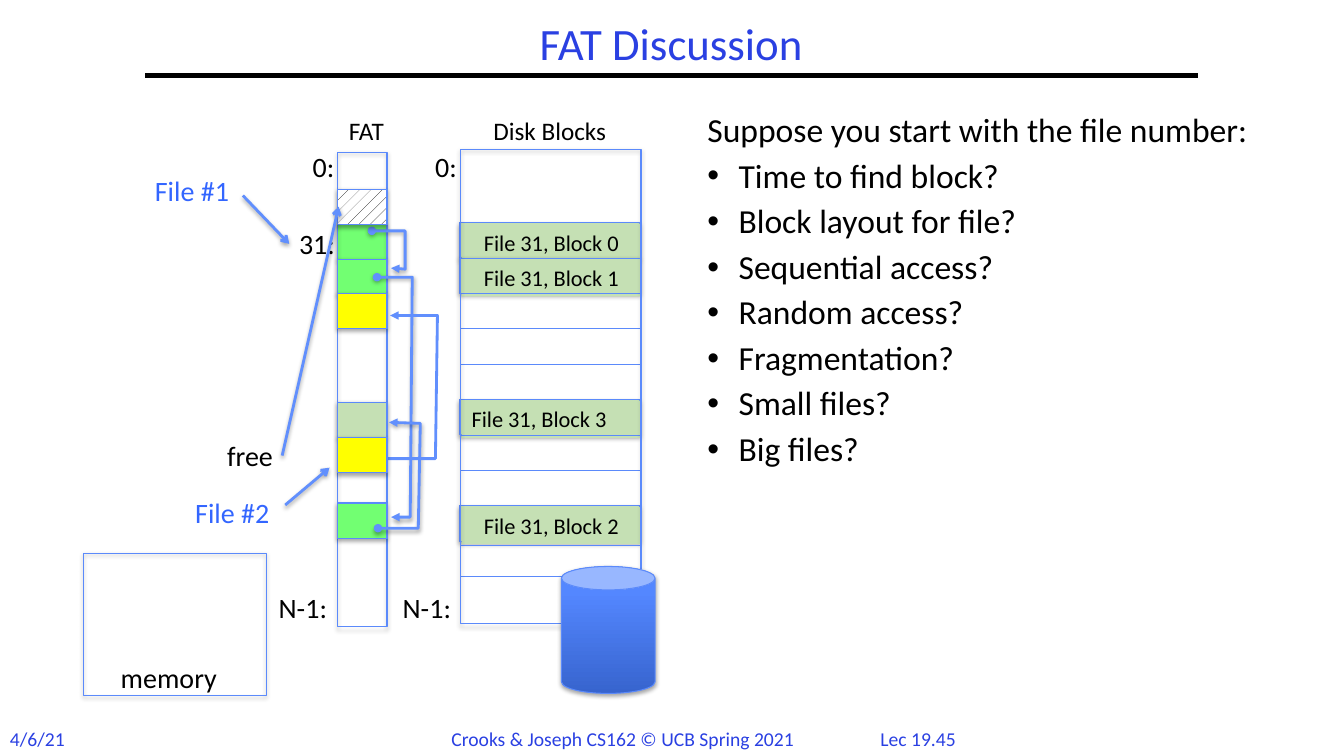
from lxml.etree import SubElement
from pptx import Presentation
from pptx.dml.color import RGBColor
from pptx.enum.dml import MSO_PATTERN
from pptx.enum.shapes import MSO_CONNECTOR, MSO_SHAPE
from pptx.enum.text import MSO_ANCHOR, PP_ALIGN
from pptx.oxml.ns import qn
from pptx.util import Cm, Pt

COLOURS = {
    "black": "000000", "white": "FFFFFF", "heading": "2A40E2", "file": "3366FF",
    "outline": "5B8AFB", "arrow": "618FFD", "green": "72FF72", "sage": "C5E0B4",
    "yellow": "FFFF00", "can_dark": "3764CE", "can_light": "5487FF",
}
FONT = "Calibri"
FAT_LEFT, FAT_WIDTH = 3.35, 0.49
DISK_LEFT, DISK_WIDTH = 4.57, 1.79
ROW_TOP, ROW_HEIGHT = 2.21, 0.35
QUESTIONS = [
    "Suppose you start with the file number:", "Time to find block?",
    "Block layout for file?", "Sequential access?", "Random access?",
    "Fragmentation?", "Small files?", "Big files?",
]


def colour(name):
    """Return the named colour."""
    return RGBColor.from_string(COLOURS[name])


def length(inches):
    """Convert a slide measure in inches to a length."""
    return Cm(inches * 2.54)


def add_effects(shape, shadow=True):
    """Give a shape a soft shadow below it, or none at all."""
    effects = SubElement(shape._element.spPr, qn("a:effectLst"))
    if shadow:
        outer = SubElement(effects, qn("a:outerShdw"), blurRad="40000", dist="22000",
                           dir="5400000", rotWithShape="0")
        tint = SubElement(outer, qn("a:srgbClr"), val=COLOURS["black"])
        SubElement(tint, qn("a:alpha"), val="35000")


def style_arrow(shape, head, tail, shadow=True):
    """Draw a line in the arrow colour with the given ends."""
    shape.line.color.rgb = colour("arrow")
    shape.line.width = Pt(2)
    outline = shape._element.spPr.find(qn("a:ln"))
    if head:
        SubElement(outline, qn("a:headEnd"), type=head)
    SubElement(outline, qn("a:tailEnd"), type=tail)
    add_effects(shape, shadow)


def style_paragraph(para, size, name, align):
    """Set alignment and font of a paragraph."""
    para.alignment = align
    for span in para.runs:
        span.font.name = FONT
        span.font.size = Pt(size)
        span.font.color.rgb = colour(name)


def add_label(page, text, area, size=20, name="black", align=PP_ALIGN.CENTER, wrap=False):
    """Add a text box with one line of text."""
    box = page.shapes.add_textbox(*map(length, area))
    box.text_frame.word_wrap = wrap
    box.text_frame.text = text
    style_paragraph(box.text_frame.paragraphs[0], size, name, align)
    return box


def add_box(page, area, fill=None, shadow=True, outlined=True, kind=MSO_SHAPE.RECTANGLE):
    """Add a preset shape with a thin blue outline."""
    box = page.shapes.add_shape(kind, *map(length, area))
    if fill:
        box.fill.solid()
        box.fill.fore_color.rgb = colour(fill)
    else:
        box.fill.background()
    if outlined:
        box.line.color.rgb = colour("outline")
        box.line.width = Pt(0.75)
    else:
        box.line.fill.background()
    add_effects(box, shadow)
    return box


def add_fat_cell(page, top, fill):
    """Add one entry of the file allocation table."""
    return add_box(page, (FAT_LEFT, top, FAT_WIDTH, ROW_HEIGHT), fill)


def add_file_block(page, row, number, align=PP_ALIGN.CENTER):
    """Add a disk block that holds a part of file 31."""
    top = ROW_TOP + row * 0.351
    add_box(page, (DISK_LEFT - 0.01, top, DISK_WIDTH, ROW_HEIGHT), "sage")
    box = add_box(page, (DISK_LEFT + 0.01, top + 0.01, 1.78, 0.37), "sage", False, False)
    frame = box.text_frame
    frame.vertical_anchor = MSO_ANCHOR.TOP
    frame.text = f"File 31, Block {number}"
    style_paragraph(frame.paragraphs[0], 16, "black", align)


def add_arrow(page, start, end):
    """Add a straight arrow."""
    arrow = page.shapes.add_connector(MSO_CONNECTOR.STRAIGHT, *map(length, start + end))
    style_arrow(arrow, None, "arrow")


def add_link(page, points, head="oval", shadow=True):
    """Add a bent arrow from one table entry to the next."""
    corners = [tuple(map(length, point)) for point in points]
    builder = page.shapes.build_freeform(*corners[0])
    builder.add_line_segments(corners[1:], close=False)
    link = builder.convert_to_shape()
    link.fill.background()
    style_arrow(link, head, "triangle", shadow)


def add_heading(page):
    """Add the title, its rule and the footer."""
    rule = page.shapes.add_connector(MSO_CONNECTOR.STRAIGHT,
                                     *map(length, (1.44, 0.75, 11.89, 0.75)))
    rule.line.color.rgb = colour("black")
    rule.line.width = Pt(3)
    add_effects(rule, False)
    title = add_label(page, "FAT Discussion", (1.44, 0.17, 10.44, 0.58), 32, "heading", wrap=True)
    title.text_frame.vertical_anchor = MSO_ANCHOR.MIDDLE
    title.text_frame.paragraphs[0].line_spacing = 0.9
    for text, left, width, align in [
        ("4/6/21", 0, 0.8, PP_ALIGN.LEFT),
        ("Crooks & Joseph CS162 © UCB Spring 2021", 4.38, 3.76, PP_ALIGN.LEFT),
        ("Lec 19.45", 8.5, 1.22, PP_ALIGN.CENTER),
    ]:
        add_label(page, text, (left, 7.16, width, 0.34), 14, "heading", align)


def add_questions(page):
    """Add the lead line and its bulleted questions."""
    box = page.shapes.add_textbox(*map(length, (6.92, 1.08, 5.97, 4.76)))
    frame = box.text_frame
    frame.word_wrap = True
    frame.text = "\n".join(QUESTIONS)
    for index, para in enumerate(frame.paragraphs):
        para.line_spacing = 0.9
        if index:
            para.space_before = Pt(6.6)
            properties = para._p.get_or_add_pPr()
            properties.set("marL", str(length(0.31)))
            properties.set("indent", str(-length(0.31)))
            SubElement(properties, qn("a:buFont"), typeface="Arial")
            SubElement(properties, qn("a:buChar"), char="•")
        style_paragraph(para, 24, "black", PP_ALIGN.LEFT)


def add_disk(page):
    """Add the column of disk blocks."""
    for row, number in enumerate([0, 1]):
        add_file_block(page, row, number)
    add_file_block(page, 5, 3, PP_ALIGN.LEFT)
    for row in (2, 3, 4, 6, 7):
        add_box(page, (DISK_LEFT, ROW_TOP + row * 0.351, DISK_WIDTH, ROW_HEIGHT), shadow=False)
    add_file_block(page, 8, 2)
    add_box(page, (DISK_LEFT, 5.41, DISK_WIDTH, 0.31), shadow=False)
    add_box(page, (DISK_LEFT, 1.48, DISK_WIDTH, 4.71))
    add_label(page, "Disk Blocks", (4.6, 1.09, 1.71, 0.4), 18)
    add_label(page, "0:", (4.19, 1.43, 0.47, 0.44))
    add_label(page, "N-1:", (3.86, 5.81, 0.75, 0.44))
    can = add_box(page, (5.57, 5.62, 0.93, 1.26), "can_light", kind=MSO_SHAPE.CAN)
    can.fill.gradient()
    can.fill.gradient_angle = 90
    for stop, position, name in zip(can.fill.gradient_stops, (0, 0.8), ("can_dark", "can_light")):
        stop.position = position
        stop.color.rgb = colour(name)


def add_fat(page):
    """Add the table column, its entries and the links between them."""
    add_fat_cell(page, 2.22, "green")
    add_box(page, (FAT_LEFT, 1.51, FAT_WIDTH, 4.71))
    for text, area, size in [
        ("FAT", (3.31, 1.09, 0.65, 0.4), 18), ("0:", (2.99, 1.43, 0.44, 0.44), 20),
        ("31:", (2.85, 2.2, 0.59, 0.44), 20), ("N-1:", (2.64, 5.81, 0.73, 0.44), 20),
        ("free", (2.14, 4.3, 0.68, 0.44), 20),
    ]:
        add_label(page, text, area, size)
    add_label(page, "File #1", (1.38, 1.67, 1.05, 0.44), name="file")
    add_label(page, "File #2", (1.78, 4.87, 1.05, 0.44), name="file")
    add_fat_cell(page, 2.57, "green")
    add_link(page, [(3.69, 2.29), (4.02, 2.29), (4.02, 2.67), (3.88, 2.66)])
    add_fat_cell(page, 4.99, "green")
    add_link(page, [(3.74, 2.75), (4.09, 2.75), (4.07, 5.13), (3.88, 5.13)])
    free_cell = add_fat_cell(page, 1.88, "white")
    free_cell.fill.patterned()
    free_cell.fill.pattern = MSO_PATTERN.PERCENT_10
    free_cell.fill.fore_color.rgb = colour("black")
    free_cell.fill.back_color.rgb = colour("white")
    add_fat_cell(page, 3.99, "sage")
    add_link(page, [(3.75, 5.24), (4.15, 5.24), (4.17, 4.2), (3.86, 4.19)])
    add_link(page, [(3.72, 4.55), (4.32, 4.55), (4.34, 3.13), (3.87, 3.13)], "diamond", False)
    for top in (4.34, 2.91):
        add_fat_cell(page, top, "yellow")
    add_arrow(page, (2.41, 1.94), (2.87, 2.42))
    add_arrow(page, (2.8, 4.52), (3.36, 2.05))
    add_arrow(page, (2.83, 5.01), (3.27, 4.64))


def main():
    """Build the slide and save it."""
    deck = Presentation()
    deck.slide_width, deck.slide_height = Cm(33.87), Cm(19.05)
    page = deck.slides.add_slide(deck.slide_layouts[6])
    add_heading(page)
    add_questions(page)
    add_disk(page)
    add_fat(page)
    add_box(page, (0.83, 5.49, 1.81, 1.41))
    add_label(page, "memory", (1.07, 6.5, 1.21, 0.44))
    deck.save("out.pptx")


if __name__ == "__main__":
    main()
